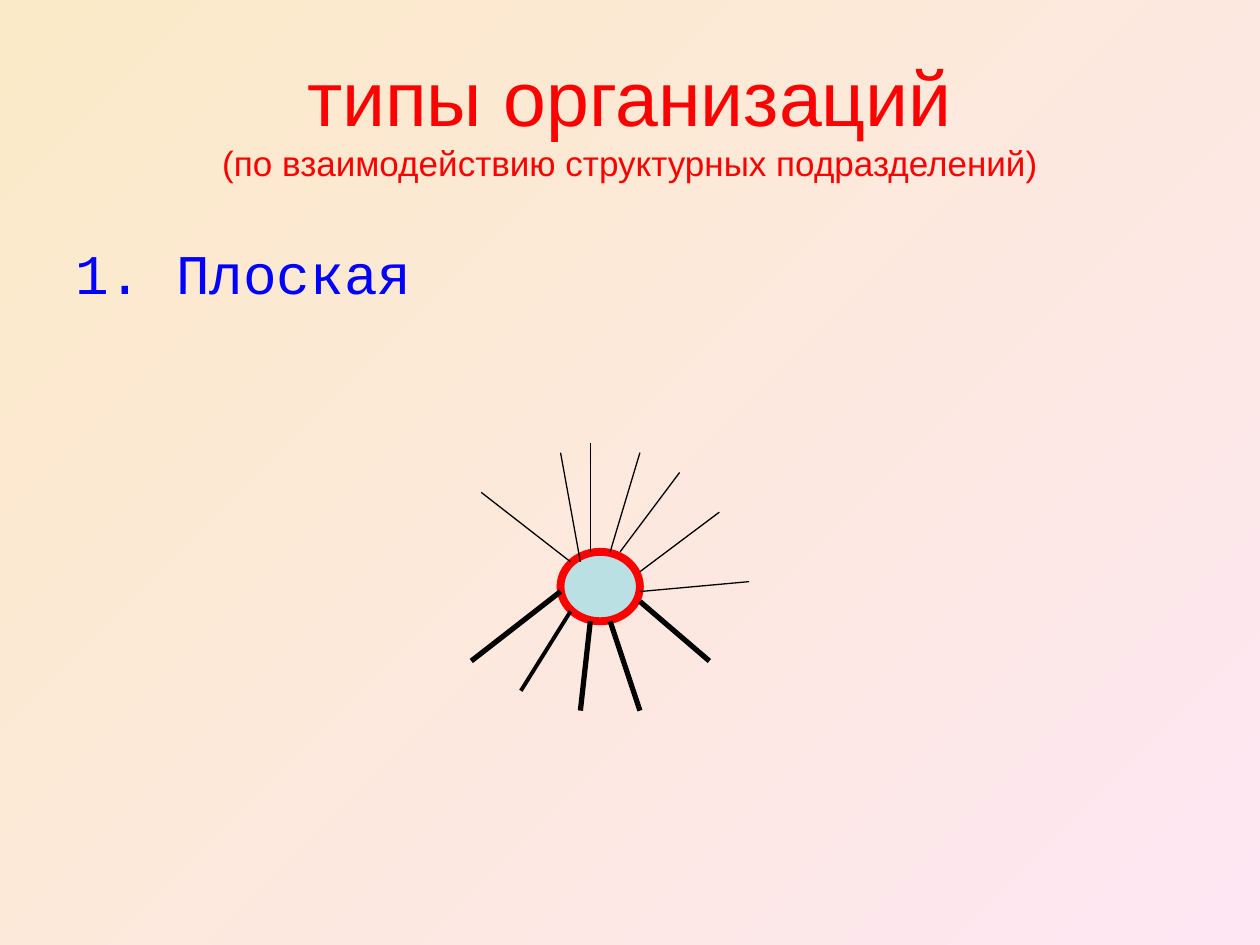
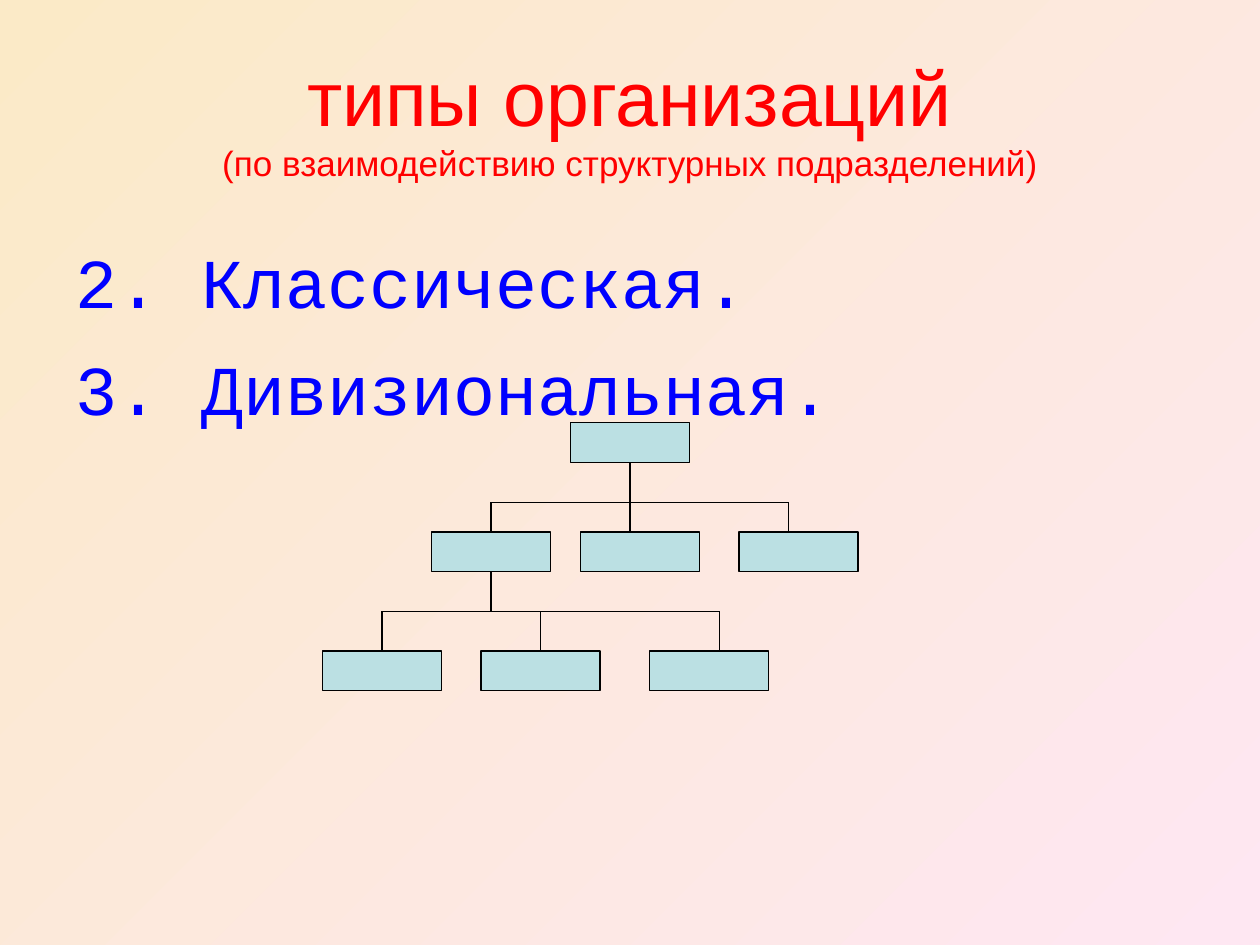
from lxml import etree
from pptx import Presentation
from pptx import util as u
from pptx.dml.color import RGBColor
from pptx.enum import shapes, text
from pptx.oxml.ns import qn

COLORS = {
    "dawn": "FBEAC7", "rose": "FEE7F2", "title": "FF0000",
    "body": "0000FF", "node": "BBE0E3", "ink": "000000",
}
COLUMNS, ROWS = 254, 190.5
BOX_W, BOX_H = 24, 8


def color(name):
    return RGBColor.from_string(COLORS[name])


def apply(target, values):
    for key, value in values.items():
        setattr(target, key, value)


class Deck:
    def __init__(self):
        self.prs = Presentation()
        apply(self.prs, {"slide_width": u.Inches(10), "slide_height": u.Inches(7.5)})
        self.slide = None

    def x(self, columns):
        return round(self.prs.slide_width * columns / COLUMNS)

    def y(self, rows):
        return round(self.prs.slide_height * rows / ROWS)

    def area(self, left, top, width, height):
        return self.x(left), self.y(top), self.x(width), self.y(height)

    def shares(self, left, top, width, height):
        return self.area(left * COLUMNS, top * ROWS, width * COLUMNS, height * ROWS)

    def add_slide(self):
        self.slide = self.prs.slides.add_slide(self.prs.slide_layouts[5])
        fill = self.slide.background.fill
        fill.gradient()
        fill.gradient_angle = 315
        for stop, name in zip(fill.gradient_stops, ("dawn", "rose")):
            stop.color.rgb = color(name)

    def run(self, paragraph, words, font, size, tint):
        run = paragraph.add_run()
        run.text = words
        apply(run.font, {"name": font, "size": u.Pt(size)})
        run.font.color.rgb = color(tint)

    def title(self, heading, subheading):
        title = self.slide.shapes.title
        place = self.shares(0.05, 0.04, 0.9, 1 / 6)
        apply(title, dict(zip(("left", "top", "width", "height"), place)))
        apply(title.text_frame, {
            "word_wrap": True,
            "auto_size": text.MSO_AUTO_SIZE.NONE,
            "vertical_anchor": text.MSO_ANCHOR.MIDDLE,
        })
        paragraph = title.text_frame.paragraphs[0]
        paragraph.alignment = text.PP_ALIGN.CENTER
        self.run(paragraph, heading, "Arial", 44, "title")
        paragraph.add_line_break()
        self.run(paragraph, subheading, "Arial", 20, "title")

    def types(self, names, size):
        frame = self.slide.shapes.add_textbox(*self.shares(0.05, 0.233, 0.9, 0.66)).text_frame
        apply(frame, {"word_wrap": True, "margin_top": self.y(3.75)})
        for index, name in enumerate(names):
            paragraph = frame.add_paragraph() if index else frame.paragraphs[0]
            if index:
                paragraph.space_before = u.Pt(13)
            indent = self.x(9.5)
            properties = paragraph._p.get_or_add_pPr()
            properties.set("marL", str(indent))
            properties.set("indent", str(-indent))
            self.run(paragraph, name, "Courier New", size, "body")

    def node(self, kind, place, tint="ink", weight=0.75):
        node = self.slide.shapes.add_shape(kind, *self.area(*place))
        node.shadow.inherit = False
        node.fill.solid()
        node.fill.fore_color.rgb = color("node")
        node.line.color.rgb = color(tint)
        node.line.width = u.Pt(weight)
        return node

    def line(self, start, end, weight=0.75):
        line = self.slide.shapes.add_connector(
            shapes.MSO_CONNECTOR.STRAIGHT,
            self.x(start[0]), self.y(start[1]), self.x(end[0]), self.y(end[1]))
        line.line.color.rgb = color("ink")
        line.line.width = u.Pt(weight)
        etree.SubElement(line._element.spPr, qn("a:effectLst"))
        return line

    def box(self, left, top):
        return self.node(shapes.MSO_SHAPE.RECTANGLE, (left, top, BOX_W, BOX_H))

    def branch(self, parent, trunk, parent_top, bus, children, child_top):
        drops = [drop for _, drop in children]
        self.line((min(drops), bus), (max(drops), bus))
        self.line((trunk, parent_top + BOX_H), (trunk, bus)).begin_connect(parent, 2)
        boxes = []
        for left, drop in children:
            child = self.box(left, child_top)
            stem = self.line((drop, bus), (drop, child_top))
            if drop == left + BOX_W / 2:
                stem.end_connect(child, 0)
            boxes.append(child)
        return boxes


def flat_organization(deck):
    hub_x, hub_y = 113, 111.25
    deck.node(shapes.MSO_SHAPE.OVAL, (hub_x, hub_y, 16, 14), "title", 4.5)
    rays = {
        2.25: [((2, 12), (-8, 28))],
        3: [((6, 14), (4, 32)), ((10, 14), (16, 32)),
            ((16, 10), (30, 22)), ((0, 8), (-18, 22))],
        0.75: [((16, 8), (38, 6)), ((16, 4), (32, -8)), ((2, 2), (-16, -12)),
               ((4, 2), (0, -20)), ((12, 0), (24, -16)), ((6, 0), (6, -22)),
               ((10, 0), (16, -20))],
    }
    for weight, group in rays.items():
        for ray in group:
            start, end = [(hub_x + dx, hub_y + dy) for dx, dy in ray]
            deck.line(start, end, weight)


def divisional_organization(deck):
    head_top, division_top, unit_top = 85.25, 107.25, 131.25
    head = deck.box(115, head_top)
    divisions = deck.branch(head, 127, head_top, 101.25,
                            [(87, 99), (117, 127), (149, 159)], division_top)
    deck.branch(divisions[0], 99, division_top, 123.25,
                [(65, 77), (97, 109), (131, 145)], unit_top)


def main():
    deck = Deck()
    pages = [
        (["1. Плоская"], 32, flat_organization),
        (["2. Классическая.", "3. Дивизиональная."], 40, divisional_organization),
    ]
    for names, size, diagram in pages:
        deck.add_slide()
        deck.title("типы организаций", "(по взаимодействию структурных подразделений)")
        deck.types(names, size)
        diagram(deck)
    deck.prs.save("out.pptx")


if __name__ == "__main__":
    main()
